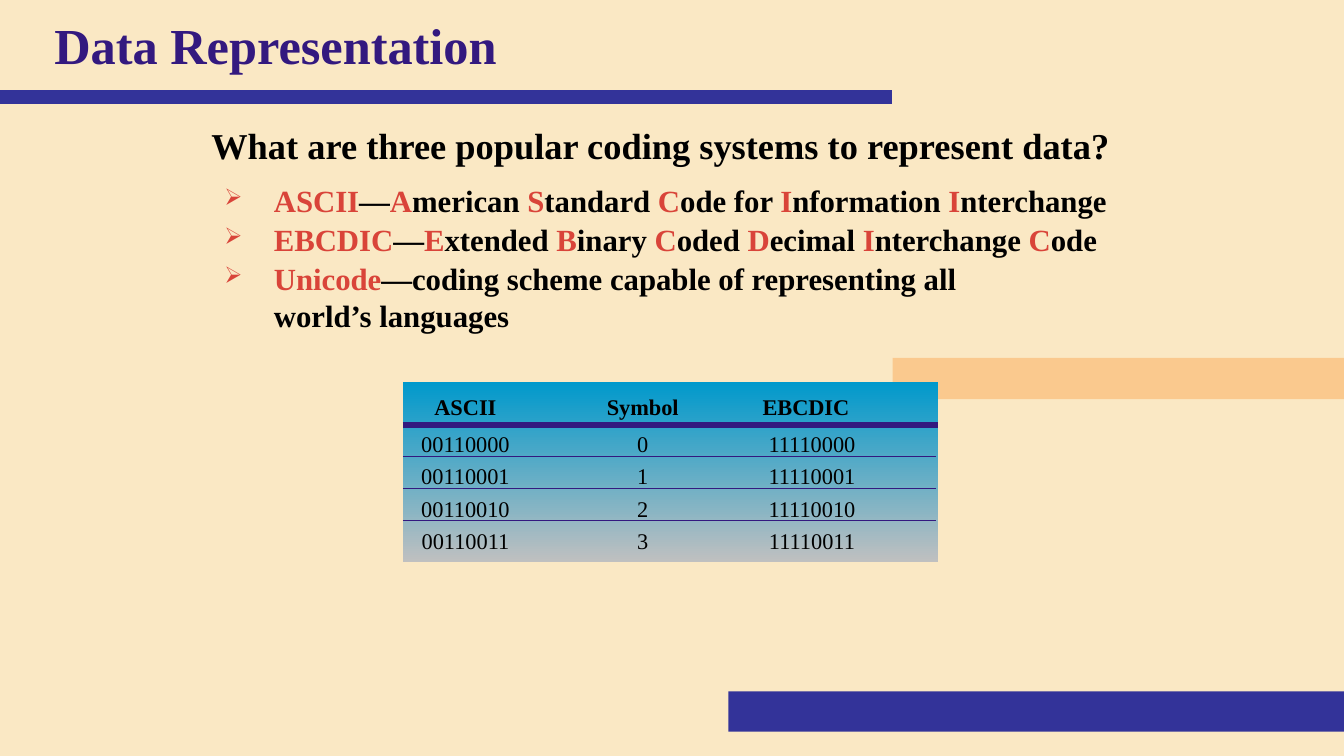
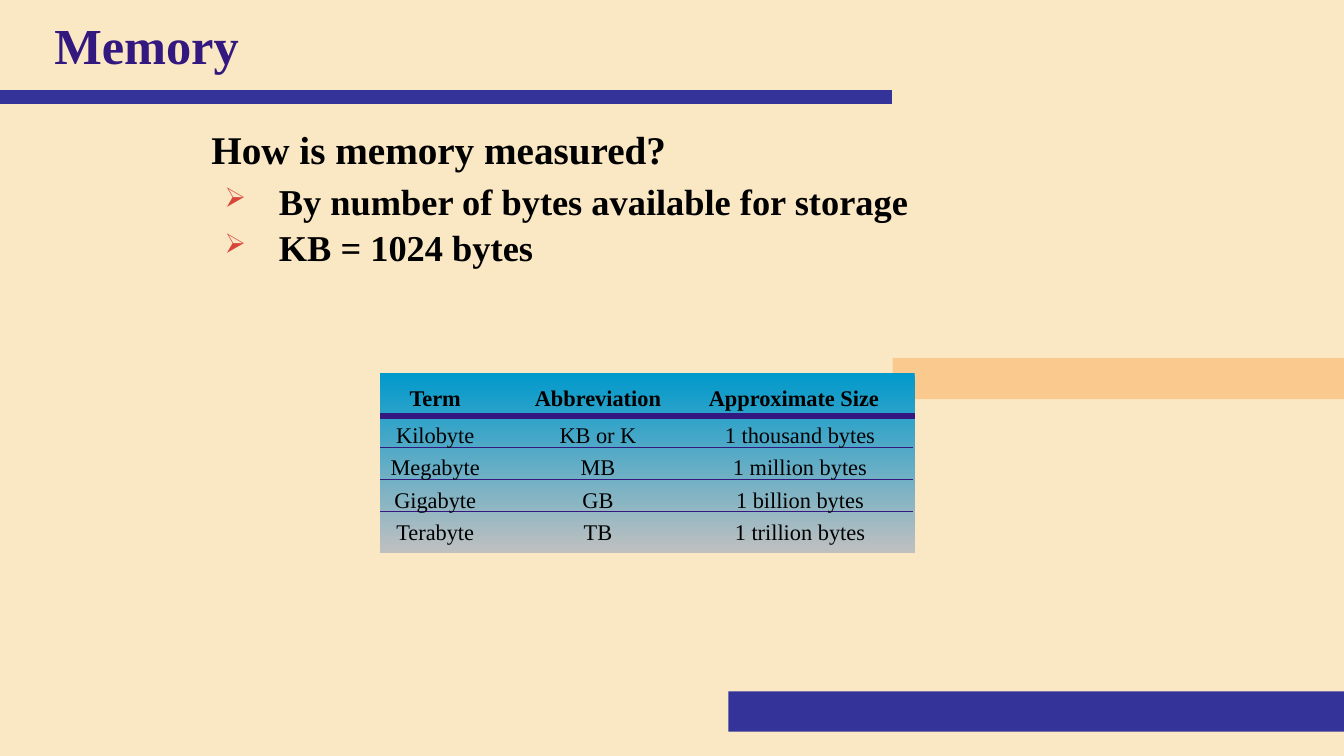
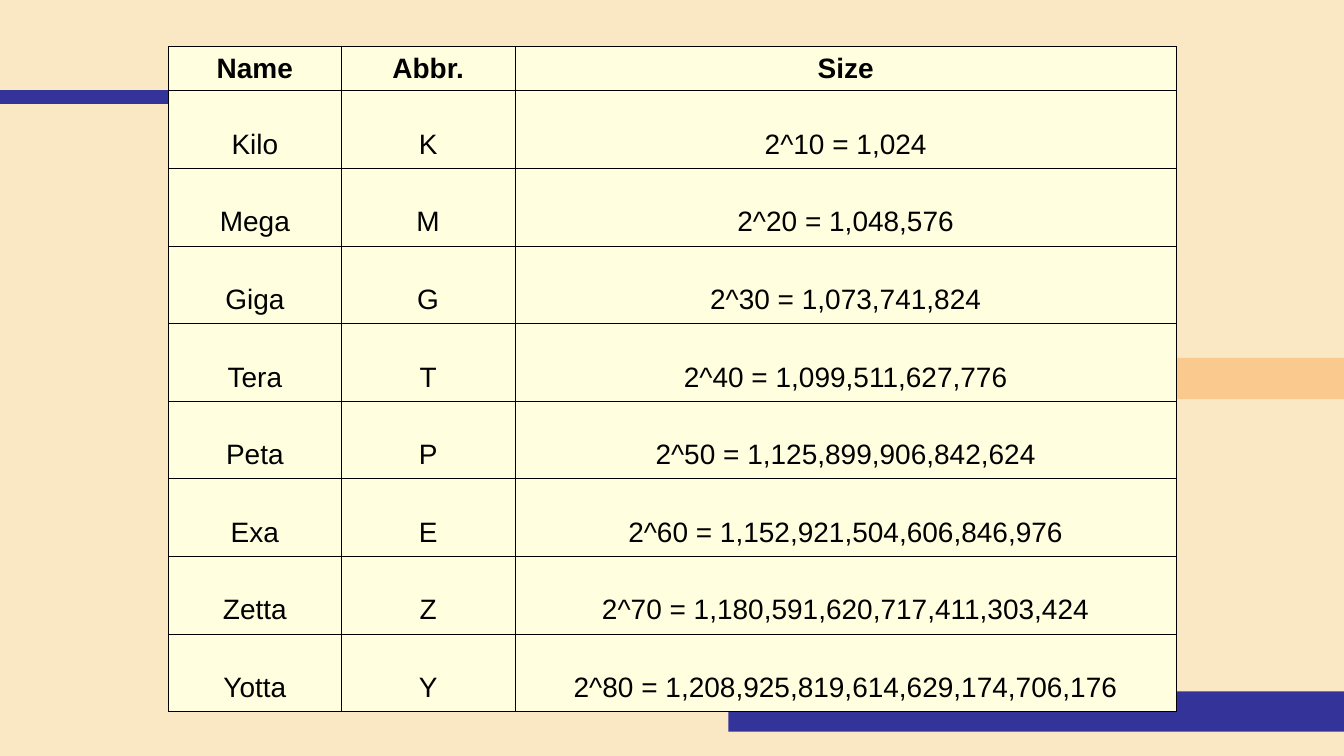
from pptx import Presentation as Deck
from pptx.dml.color import RGBColor as RGB
from pptx.enum.shapes import MSO_CONNECTOR as Wire, MSO_SHAPE as Form
from pptx.enum.text import MSO_ANCHOR as Anchor, PP_ALIGN as Align
from pptx.oxml.ns import qn
from pptx.util import Inches, Pt
from lxml.etree import SubElement as Sub

CREAM = RGB(0xFA, 0xE8, 0xC4)
BLUE = RGB(0x33, 0x33, 0x99)
PEACH = RGB(0xFA, 0xC9, 0x8E)
PURPLE = RGB(0x33, 0x19, 0x7F)
RED = RGB(0xD9, 0x44, 0x39)
CYAN = RGB(0x00, 0x99, 0xCC)
GRAY = RGB(0xC0, 0xC0, 0xC0)
IVORY = RGB(0xFF, 0xFF, 0xE0)
BLACK = RGB(0, 0, 0)

SERIF = "Times New Roman"
PLAIN = "{2D5ABB26-0587-4C30-8999-92F81FD0307C}"

CODES = [
    ("ASCII", "Symbol", "EBCDIC"),
    ("00110000", "0", "11110000"),
    ("00110001", "1", "11110001"),
    ("00110010", "2", "11110010"),
    ("00110011", "3", "11110011"),
]
TERMS = [
    ("Term", "Abbreviation", "Approximate Size"),
    ("Kilobyte", "KB or K", "1 thousand bytes"),
    ("Megabyte", "MB", "1 million bytes"),
    ("Gigabyte", "GB", "1 billion bytes"),
    ("Terabyte", "TB", "1 trillion bytes"),
]
UNITS = ["Kilo", "Mega", "Giga", "Tera", "Peta", "Exa", "Zetta", "Yotta"]


def put(item, **vals):
    for key, val in vals.items():
        setattr(item, key, val)


def style(font, size, color=BLACK, name=SERIF, bold=True):
    put(font, size=Pt(size), name=name, bold=bold)
    font.color.rgb = color


def bar(slide, box, color):
    shape = slide.shapes.add_shape(Form.RECTANGLE, *map(Inches, box))
    shape.shadow.inherit = False
    shape.line.fill.background()
    shape.fill.solid()
    shape.fill.fore_color.rgb = color
    return shape


def line(slide, ends, color, width):
    wire = slide.shapes.add_connector(Wire.STRAIGHT, *map(Inches, ends))
    wire.line.color.rgb = color
    wire.line.width = Pt(width)
    Sub(wire._element.spPr, qn("a:effectLst"))


def frame(slide, box, anchor=Anchor.TOP):
    text = slide.shapes.add_textbox(*map(Inches, box)).text_frame
    put(text, word_wrap=True, vertical_anchor=anchor)
    return text


def label(slide, box, words, size, color=BLACK, anchor=Anchor.TOP):
    run = frame(slide, box, anchor).paragraphs[0].add_run()
    run.text = words
    style(run.font, size, color)


def bullet(para, left, hang):
    props = para._p.get_or_add_pPr()
    props.set("marL", str(Inches(left)))
    props.set("indent", str(Inches(-hang)))
    tint = Sub(Sub(props, qn("a:buClr")), qn("a:srgbClr"))
    tint.set("val", str(RED))
    Sub(props, qn("a:buSzPct")).set("val", "75000")
    Sub(props, qn("a:buChar")).set("char", "➢")


def points(slide, box, items, size, left, hang):
    text = frame(slide, box)
    for num, item in enumerate(items):
        para = text.add_paragraph() if num else text.paragraphs[0]
        bullet(para, left, hang)
        if num:
            para.space_before = Pt(1.5)
        for part, words in enumerate(item.split("*")):
            for row, piece in enumerate(words.split("\n")):
                if row:
                    para.add_line_break()
                if piece:
                    run = para.add_run()
                    run.text = piece
                    style(run.font, size, RED if part % 2 else BLACK)


def border(cell, width):
    props = cell._tc.get_or_add_tcPr()
    for side in "LRTB":
        rim = Sub(props, qn(f"a:ln{side}"), w=str(Pt(width)))
        tint = Sub(Sub(rim, qn("a:solidFill")), qn("a:srgbClr"))
        tint.set("val", str(BLACK))


def grid(slide, spot, cols, highs, rows, size, name, feet,
         fill=None, insets=(0, 0)):
    box = (*spot, sum(cols), sum(highs))
    table = slide.shapes.add_table(
        len(rows), len(cols), *map(Inches, box)).table
    put(table, first_row=False, horz_banding=False)
    table._tbl.tblPr.find(qn("a:tableStyleId")).text = PLAIN
    for col, width in zip(table.columns, cols):
        col.width = Inches(width)
    for r, (row, high) in enumerate(zip(rows, highs)):
        table.rows[r].height = Inches(high)
        kind = min(r, 1)
        for c, words in enumerate(row):
            cell = table.cell(r, c)
            right = insets[kind] if c == len(row) - 1 else 0
            put(cell, margin_left=0, margin_right=Inches(right),
                margin_top=0, margin_bottom=Inches(feet[kind]),
                vertical_anchor=Anchor.BOTTOM)
            if fill:
                border(cell, 0.34)
                cell.fill.solid()
                cell.fill.fore_color.rgb = fill
            else:
                cell.fill.background()
            para = cell.text_frame.paragraphs[0]
            para.alignment = Align.CENTER
            run = para.add_run()
            run.text = words
            style(run.font, size, name=name, bold=r == 0)


def panel(slide, left, top, cols, rows, insets):
    back = bar(slide, (left, top, 5.31, 1.79), CYAN)
    back.fill.gradient()
    back.fill.gradient_angle = 270
    for stop, color in zip(back.fill.gradient_stops, (CYAN, GRAY)):
        stop.color.rgb = color
    line(slide, (left, top + 0.43, left + 5.31, top + 0.43), PURPLE, 4.5)
    for drop in (0.74, 1.06, 1.37):
        ends = (left, top + drop, left + 5.29, top + drop)
        line(slide, ends, PURPLE, 0.75)
    grid(slide, (left, top), cols, [0.43] + [0.32] * 4, rows, 16, SERIF,
         (0.05, 0), insets=insets)


def page(deck, title=None):
    slide = deck.slides.add_slide(deck.slide_layouts[6])
    bar(slide, (7.23, 6.86, 6.11, 0.4), BLUE)
    bar(slide, (8.86, 3.55, 4.48, 0.41), PEACH)
    line(slide, (0, 0.96, 8.85, 0.96), BLUE, 10)
    if title:
        label(slide, (0.44, 0, 12.52, 0.88), title, 36, PURPLE, Anchor.MIDDLE)
    return slide


def coding(deck):
    slide = page(deck, "Data Representation")
    label(slide, (2, 1.17, 9.5, 0.6),
          "What are three popular coding systems to represent data?", 26)
    points(slide, (1.97, 1.75, 9.67, 1.6), [
        "*ASCII*—*A*merican *S*tandard *C*ode for "
        "*I*nformation *I*nterchange",
        "*EBCDIC*—*E*xtended *B*inary *C*oded *D*ecimal "
        "*I*nterchange *C*ode",
        "*Unicode*—coding scheme capable of representing all\n"
        "world’s languages",
    ], 22, 0.65, 0.49)
    panel(slide, 4, 3.79, (1.24, 2.28, 1.79), CODES, (0.83, 0.71))


def memory(deck):
    slide = page(deck, "Memory")
    label(slide, (2, 1.19, 9.39, 0.6), "How is memory measured?", 28)
    points(slide, (2, 1.73, 9.39, 1.14), [
        "By number of bytes available for storage",
        "KB = 1024 bytes",
    ], 26, 0.67, 0.54)
    panel(slide, 3.77, 3.7, (1.1, 2.13, 2.08), TERMS, (0.32, 0.2))


def sizes(deck):
    rows = [("Name", "Abbr.", "Size")]
    for num, unit in enumerate(UNITS, 1):
        power = 10 * num
        rows.append((unit, unit[0], f"2^{power} = {2 ** power:,}"))
    grid(page(deck), (1.67, 0.46), (1.72, 1.72, 6.57),
         [0.44] + [0.77] * len(UNITS), rows, 20, "Arial",
         (0.06, 0.08), IVORY)


def main():
    deck = Deck()
    put(deck, slide_width=Inches(13.34), slide_height=Inches(7.5))
    back = deck.slide_master.background.fill
    back.solid()
    back.fore_color.rgb = CREAM
    for build in (coding, memory, sizes):
        build(deck)
    deck.save("out.pptx")


if __name__ == "__main__":
    main()
